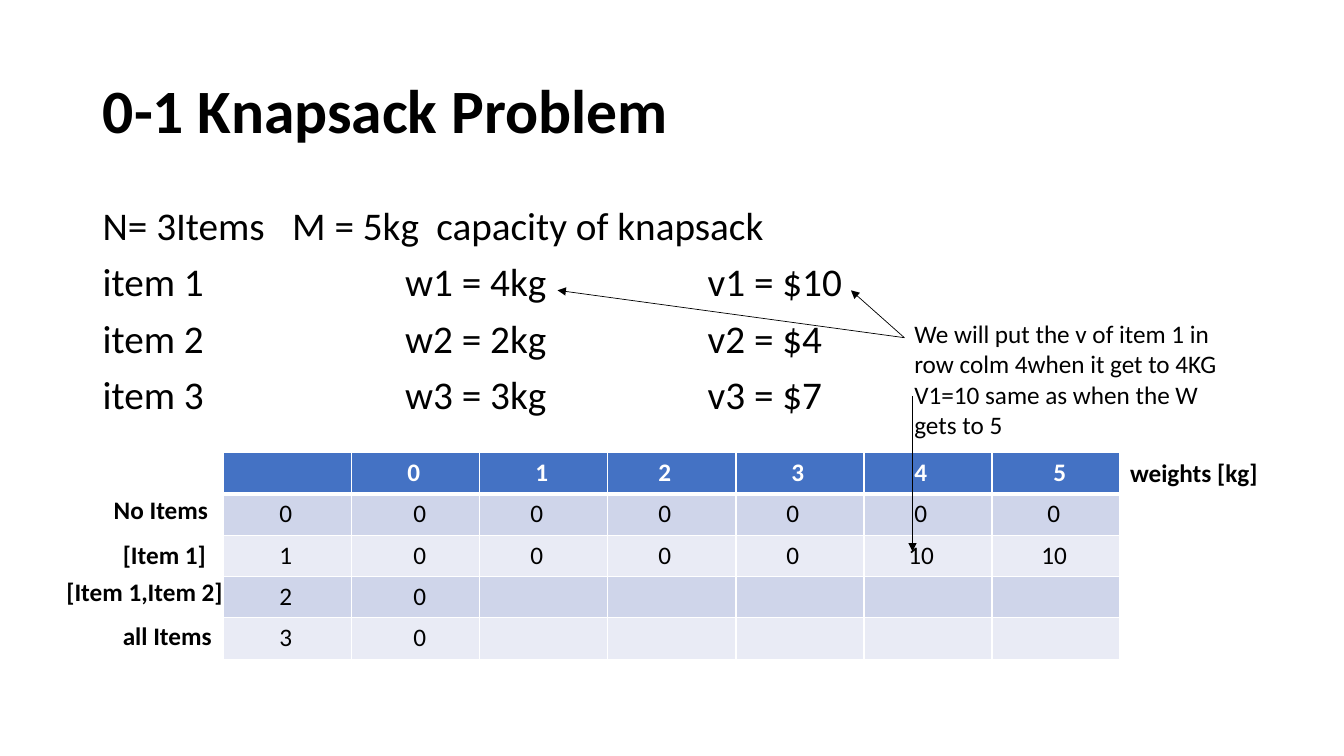
import pptx
import pptx.util
import pptx.dml.color
import pptx.enum.shapes
import pptx.enum.text
import pptx.oxml
from dataclasses import dataclass
from pptx.oxml.ns import qn
from lxml import etree

# Content
TITLE = "0-1 Knapsack Problem"
TITLE_BOX = (92, 40, 1150, 145)
PROBLEM = [
    ("N= 3Items\tM = 5kg\tcapacity of knapsack", (188, 331)),
    ("item 1\tw1 = 4kg\tv1 = $10", (300, 600)),
    ("item 2\tw2 = 2kg\tv2 = $4", (300, 600)),
    ("item 3\tw3 = 3kg\tv3 = $7", (300, 600)),
]
PROBLEM_BOX = (92, 200, 1150, 476)
GRID = [
    ("", "0", "1", "2", "3", "4", "5"),
    ("0", "0", "0", "0", "0", "0", "0"),
    ("1", "0", "0", "0", "0", "10", "10"),
    ("2", "0", "", "", "", "", ""),
    ("3", "0", "", "", "", "", ""),
]
GRID_LEFT, GRID_TOP, COLUMN_WIDTH, ROW_HEIGHT = 222, 449, 127, 41
HEADER_INDENTS = (55, 55, 55, 50, 55, 50, 61)
BODY_INDENTS = (55, 61, 50, 50, 50, 50, 55)
EXTRA_DIGIT = 6
LABELS = [
    ("No Items", (103, 485, 116, 40)),
    ("[Item 1]", (112, 530, 110, 40)),
    ("[Item 1,Item 2]", (56, 567, 175, 40)),
    ("all Items", (112, 611, 110, 40)),
    ("weights [kg]", (1111, 449, 149, 40)),
]
NOTE = ("We will put the v of item 1 in row colm 4when it get to 4KG "
        "V1=10 same as when the W gets to 5")
NOTE_BOX = (897, 311, 345, 131)
ARROWS = [
    ((897, 335), (553, 288)),
    ((905, 393), (905, 547)),
    ((897, 335), (844, 288)),
]


@dataclass(frozen=True)
class Theme:
    font: str = "Calibri"
    ink: str = "000000"
    paper: str = "FFFFFF"
    header: str = "4472C4"
    bands: tuple = ("E9EBF5", "CFD5EA")
    title_size: int = 44
    body_size: int = 28
    small_size: int = 18


THEME = Theme()


def px(length):
    return pptx.util.Emu(length * 9144)


def color(value):
    return pptx.dml.color.RGBColor.from_string(value)


def style(paragraph, size, bold=False, ink=THEME.ink):
    font = paragraph.font
    font.name, font.size, font.bold = THEME.font, pptx.util.Pt(size), bold
    font.color.rgb = color(ink)


def add_text(slide, box):
    frame = slide.shapes.add_textbox(*map(px, box)).text_frame
    frame.word_wrap = True
    return frame


def set_tabs(paragraph, stops):
    properties = paragraph._p.get_or_add_pPr()
    tabs = etree.SubElement(properties, qn("a:tabLst"))
    for stop in stops:
        etree.SubElement(tabs, qn("a:tab"), pos=str(px(stop)), algn="l")


def set_borders(cell, bottom_width):
    properties = cell._tc.get_or_add_tcPr()
    for side, width in (("L", 1), ("R", 1), ("T", 1), ("B", bottom_width)):
        line = etree.SubElement(properties, qn(f"a:ln{side}"),
                                w=str(pptx.util.Pt(width)))
        fill = etree.SubElement(line, qn("a:solidFill"))
        etree.SubElement(fill, qn("a:srgbClr"), val=THEME.paper)


def add_title(slide):
    title = slide.shapes.title
    title.left, title.top, title.width, title.height = map(px, TITLE_BOX)
    frame = title.text_frame
    frame.text = TITLE
    frame.vertical_anchor = pptx.enum.text.MSO_ANCHOR.MIDDLE
    paragraph = frame.paragraphs[0]
    paragraph.alignment = pptx.enum.text.PP_ALIGN.LEFT
    paragraph.line_spacing = 0.9
    style(paragraph, THEME.title_size, bold=True)


def add_problem(slide):
    frame = add_text(slide, PROBLEM_BOX)
    for index, (text, stops) in enumerate(PROBLEM):
        paragraph = frame.add_paragraph() if index else frame.paragraphs[0]
        paragraph.text = text
        set_tabs(paragraph, stops)
        paragraph.line_spacing = 0.9
        paragraph.space_before = pptx.util.Pt(10 if index else 0)
        style(paragraph, THEME.body_size)


def add_grid(slide):
    columns, rows = len(GRID[0]), len(GRID)
    table = slide.shapes.add_table(
        rows, columns, px(GRID_LEFT), px(GRID_TOP),
        px(columns * COLUMN_WIDTH), px(rows * ROW_HEIGHT)).table
    for column in table.columns:
        column.width = px(COLUMN_WIDTH)
    for row_index, values in enumerate(GRID):
        table.rows[row_index].height = px(ROW_HEIGHT)
        is_header = row_index == 0
        indents = HEADER_INDENTS if is_header else BODY_INDENTS
        for column_index, value in enumerate(values):
            cell = table.cell(row_index, column_index)
            cell.text = value
            shift = EXTRA_DIGIT * max(len(value) - 1, 0)
            cell.margin_left = px(indents[column_index] - shift)
            set_borders(cell, 3 if is_header else 1)
            cell.fill.solid()
            cell.fill.fore_color.rgb = color(
                THEME.header if is_header else THEME.bands[row_index % 2])
            style(cell.text_frame.paragraphs[0], THEME.small_size, is_header,
                  THEME.paper if is_header else THEME.ink)


def add_small_text(slide, text, box, bold):
    frame = add_text(slide, box)
    frame.text = text
    style(frame.paragraphs[0], THEME.small_size, bold)


def add_arrow(slide, start, end):
    arrow = slide.shapes.add_connector(
        pptx.enum.shapes.MSO_CONNECTOR.STRAIGHT, *map(px, start + end))
    arrow.line.color.rgb = color(THEME.ink)
    arrow.line.width = pptx.util.Pt(0.5)
    etree.SubElement(arrow.line._get_or_add_ln(), qn("a:tailEnd"), type="triangle")
    etree.SubElement(arrow._element.spPr, qn("a:effectLst"))


def main():
    presentation = pptx.Presentation()
    presentation.slide_width, presentation.slide_height = px(1333), px(750)
    slide = presentation.slides.add_slide(presentation.slide_layouts[5])

    # Heading and problem statement
    add_title(slide)
    add_problem(slide)

    # Table with its row and column labels
    add_grid(slide)
    for text, box in LABELS:
        add_small_text(slide, text, box, bold=True)

    # Explanation and its arrows
    add_small_text(slide, NOTE, NOTE_BOX, bold=False)
    for start, end in ARROWS:
        add_arrow(slide, start, end)

    presentation.save("out.pptx")


if __name__ == "__main__":
    main()
